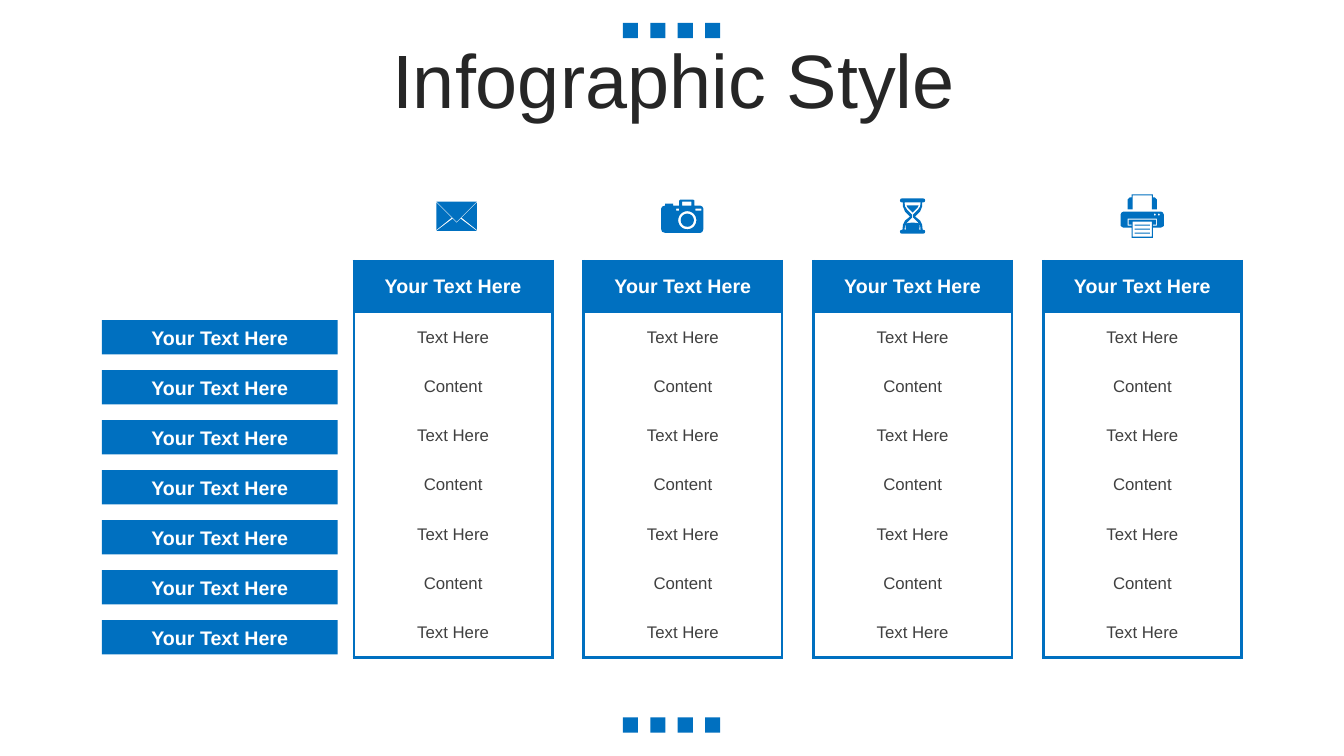
import math
from dataclasses import dataclass

from lxml import etree
from pptx import Presentation
from pptx import util as u
from pptx.dml.color import RGBColor
from pptx.enum import shapes, text
from pptx.oxml.ns import qn

NO_TABLE_STYLE = "{2D5ABB26-0587-4C30-8999-92F81FD0307C}"


@dataclass(frozen=True)
class Theme:
    font: str = "Arial"
    accent: str = "0070C0"
    title: str = "262626"
    body: str = "404040"
    light: str = "FFFFFF"
    title_size: int = 54
    label_size: int = 14
    body_size: int = 12
    border: float = 2.25


def rect(left, top, right, bottom):
    return [(left, top), (right, top), (right, bottom), (left, bottom)]


def circle(cx, cy, radius, steps=32):
    angles = [2 * math.pi * i / steps for i in range(steps)]
    return [(cx + radius * math.cos(a), cy + radius * math.sin(a)) for a in angles]


def mirrored(cx, half):
    """Close an outline by reflecting its right half about x = cx."""
    return [(cx + x, y) for x, y in half] + [(cx - x, y) for x, y in reversed(half)]


# Icon outlines, in hundredths of an inch from the icon's top left corner
ICON_UNIT = u.Cm(0.0254)
ENVELOPE = [
    [(24, 17), (40, 29), (0, 29), (16, 17), (20, 21)],
    [(40, 1), (40, 28), (25, 16)],
    [(0, 1), (15, 16), (0, 28)],
    [(0, 0), (40, 0), (20, 20)],
]
CAMERA = [
    circle(26, 20.5, 6.5), circle(26, 20.5, 9),
    rect(15, 9, 18, 11), rect(34, 9, 40, 11), rect(21, 2, 30, 6),
    [(19, 0), (32, 0), (33, 1), (33, 6), (39, 6), (41, 7), (42, 9), (42, 29),
     (41, 32), (39, 33), (4, 33), (1, 32), (0, 29), (0, 9), (1, 7), (4, 6),
     (4, 4), (12, 4), (12, 6), (18, 6), (18, 1)],
]
HOURGLASS = [mirrored(12.5, half) for half in (
    [(10.5, 0), (12, 0.5), (12.5, 2), (12, 3.5), (10.5, 4), (9.5, 4), (9.5, 8),
     (7.5, 13), (2.5, 18), (7.5, 22), (9.5, 26), (10, 31), (12, 31.5),
     (12.5, 33), (12, 34.5), (10.5, 35)],
    [(8, 4), (7.5, 8), (5.5, 11), (0.5, 16), (0.5, 19), (5.5, 24), (7.5, 27), (8, 31)],
    [(6, 7), (5, 9), (0, 14)],
    [(0, 24), (4, 24.3), (6.5, 25), (7, 28), (6.5, 31)],
)]
PRINTER = [
    *(rect(14, y, 29, y + 1) for y in (30, 34, 38)),
    rect(12, 27, 31, 42),
    [(7, 24), (7, 31), (11, 31), (11, 30), (8, 30), (8, 25), (35, 25), (35, 30),
     (32, 30), (32, 31), (36, 31), (36, 24)],
    circle(34, 20, 1), circle(38, 20, 1),
    [(3, 17), (40, 17), (42, 18), (43, 20), (43, 31), (42, 32), (40, 33), (32, 33),
     (32, 43), (11, 43), (11, 33), (3, 33), (1, 32), (0, 31), (0, 20), (1, 18)],
    [(11, 0), (32, 0), (32, 3), (34, 3), (36, 5), (36, 15), (31, 15), (31, 1),
     (12, 1), (12, 15), (7, 15), (7, 5), (9, 3), (11, 3)],
]


class Deck:
    def __init__(self, theme):
        self.theme = theme
        self.prs = Presentation()
        self.prs.slide_width, self.prs.slide_height = u.Cm(33.87), u.Cm(19.05)
        self.slide = self.prs.slides.add_slide(self.prs.slide_layouts[5])

    def add_text(self, tf, content, size, color, bold=False):
        p = tf.paragraphs[0]
        p.alignment = text.PP_ALIGN.CENTER
        r = p.add_run()
        r.text = content
        r.font.name, r.font.size, r.font.bold = self.theme.font, u.Pt(size), bold
        r.font.color.rgb = RGBColor.from_string(color)
        return p

    def paint(self, sp):
        """Give a shape the accent fill, without outline or shadow."""
        sp.shadow.inherit = False
        sp.fill.solid()
        sp.fill.fore_color.rgb = RGBColor.from_string(self.theme.accent)
        sp.line.fill.background()

    def title(self, content, left, top, width, height):
        sp = self.slide.shapes.title
        sp.left, sp.top, sp.width, sp.height = map(u.Cm, (left, top, width, height))
        tf = sp.text_frame
        tf.auto_size = text.MSO_AUTO_SIZE.NONE
        tf.vertical_anchor = text.MSO_ANCHOR.MIDDLE
        p = self.add_text(tf, content, self.theme.title_size, self.theme.title)
        p.line_spacing = 0.9

    def box(self, left, top, width, height, content=None):
        sp = self.slide.shapes.add_shape(
            shapes.MSO_SHAPE.RECTANGLE, *map(u.Cm, (left, top, width, height)))
        self.paint(sp)
        if content:
            tf = sp.text_frame
            tf.word_wrap = True
            tf.vertical_anchor = text.MSO_ANCHOR.MIDDLE
            self.add_text(tf, content, self.theme.label_size, self.theme.light, True)

    def borders(self, cell, sides):
        tc_pr = cell._tc.get_or_add_tcPr()
        for side in sides:
            ln = etree.SubElement(tc_pr, qn(f"a:ln{side}"), w=str(u.Pt(self.theme.border)))
            fill = etree.SubElement(ln, qn("a:solidFill"))
            etree.SubElement(fill, qn("a:srgbClr"), val=self.theme.accent)

    def column(self, rows, left, top, width, header_height, row_height):
        """Add a one-column table whose first row is the header."""
        height = header_height + row_height * (len(rows) - 1)
        table = self.slide.shapes.add_table(
            len(rows), 1, *map(u.Cm, (left, top, width, height))).table
        table.first_row = table.horz_banding = False
        table._tbl.tblPr.find(qn("a:tableStyleId")).text = NO_TABLE_STYLE
        last = len(rows) - 1
        for i, content in enumerate(rows):
            table.rows[i].height = u.Cm(row_height if i else header_height)
            cell = table.cell(i, 0)
            cell.vertical_anchor = text.MSO_ANCHOR.MIDDLE
            self.borders(cell, "LRT" if i == 0 else "LRB" if i == last else "LR")
            if i:
                cell.fill.background()
                self.add_text(cell.text_frame, content, self.theme.body_size, self.theme.body)
            else:
                cell.fill.solid()
                cell.fill.fore_color.rgb = RGBColor.from_string(self.theme.accent)
                self.add_text(cell.text_frame, content, self.theme.label_size,
                              self.theme.light, True)

    def icon(self, outlines, left, top):
        scaled = [[(x * ICON_UNIT, y * ICON_UNIT) for x, y in line] for line in outlines]
        builder = self.slide.shapes.build_freeform(*scaled[0][0])
        for i, line in enumerate(scaled):
            if i:
                builder.move_to(*line[0])
            builder.add_line_segments(line[1:], close=True)
        self.paint(builder.convert_to_shape(u.Cm(left), u.Cm(top)))


def main():
    deck = Deck(Theme())
    for top in (0.58, 18.08):
        for i in range(4):
            deck.box(15.7 + 0.69 * i, top, 0.38, 0.38)
    deck.title("Infographic Style", 0.9, 1.12, 32.15, 2)

    for i in range(7):
        deck.box(2.57, 8.07 + 1.26 * i, 5.94, 0.86, "Your Text Here")

    rows = ["Your Text Here"] + ["Content" if i % 2 else "Text Here" for i in range(7)]
    icons = [(ENVELOPE, 11, 5.08), (CAMERA, 16.66, 5.03),
             (HOURGLASS, 22.68, 5), (PRINTER, 28.24, 4.9)]
    for i, (outlines, left, top) in enumerate(icons):
        deck.column(rows, 8.92 + 5.79 * i, 6.58, 5, 1.3, 1.24)
        deck.icon(outlines, left, top)
    deck.prs.save("out.pptx")


if __name__ == "__main__":
    main()
